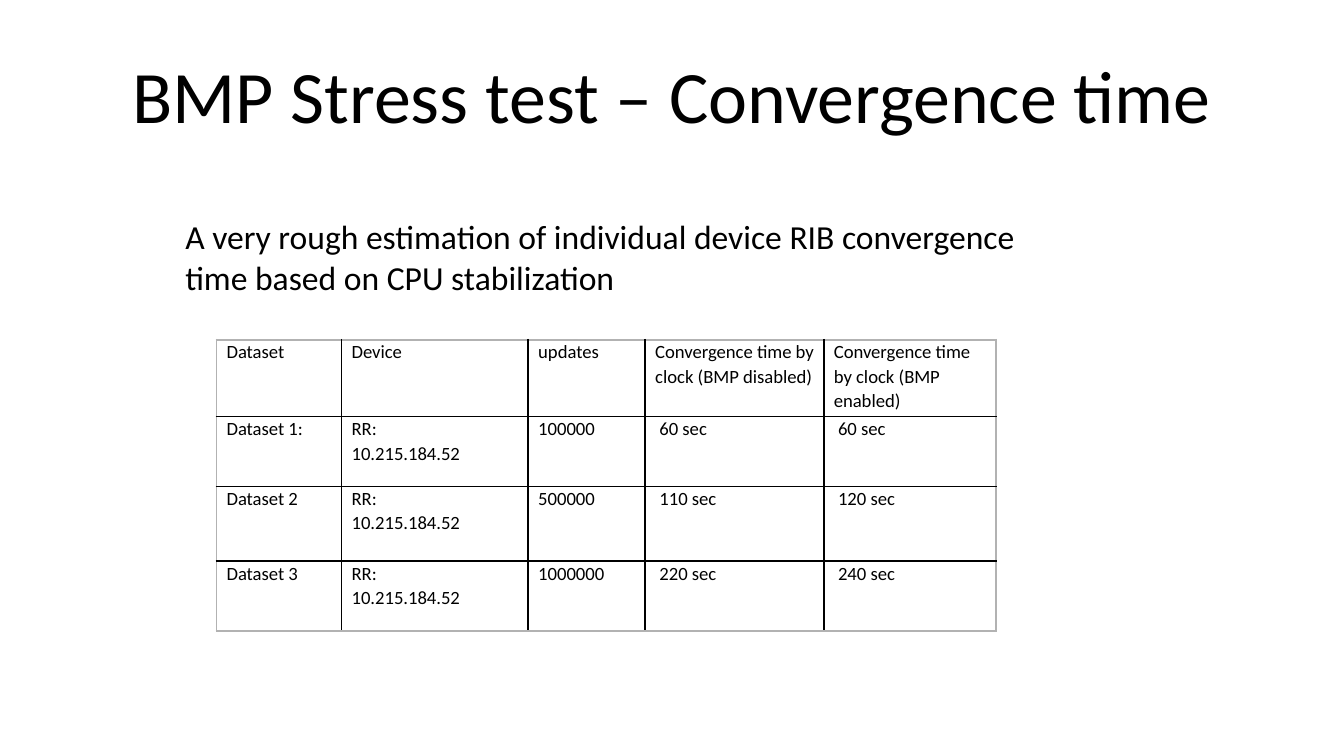
from dataclasses import dataclass

from lxml.etree import SubElement
from pptx import Presentation
from pptx.dml.color import RGBColor
from pptx.enum.text import MSO_ANCHOR, MSO_AUTO_SIZE, PP_ALIGN
from pptx.oxml.ns import qn
from pptx.util import Pt

FONT = "Calibri"
INK = "000000"
EDGE = "B2B2B2"
COLUMN_WIDTHS = (67, 100, 62.7, 95.7, 92.2)
ROW_HEIGHTS = (41.2, 37.5, 39.8, 37.5)
DEVICE = "RR:\n10.215.184.52"
HEADINGS = (
    "Dataset",
    "Device",
    "updates",
    "Convergence time by clock (BMP disabled)",
    "Convergence time by clock (BMP enabled)",
)


@dataclass(frozen=True)
class Measurement:
    dataset: str
    updates: str
    disabled: str
    enabled: str

    def texts(self) -> tuple[str, ...]:
        return self.dataset, DEVICE, self.updates, self.disabled, self.enabled


MEASUREMENTS = (
    Measurement("Dataset 1:", "100000", " 60 sec", " 60 sec"),
    Measurement("Dataset 2", "500000", " 110 sec", " 120 sec"),
    Measurement("Dataset 3", "1000000", " 220 sec", " 240 sec"),
)


def color(value: str) -> RGBColor:
    return RGBColor.from_string(value)


def add_run(paragraph, text: str, size: float) -> None:
    run = paragraph.add_run()
    run.text = text
    run.font.name = FONT
    run.font.size = Pt(size)
    run.font.color.rgb = color(INK)


def add_border(cell, side: str, value: str) -> None:
    line = SubElement(cell._tc.get_or_add_tcPr(), qn(f"a:{side}"), w=str(Pt(1)))
    fill = SubElement(line, qn("a:solidFill"))
    SubElement(fill, qn("a:srgbClr"), val=str(color(value)))


def fill_cell(cell, text: str, outer_sides: set[str]) -> None:
    cell.margin_left = cell.margin_right = Pt(5.4)
    cell.margin_top = cell.margin_bottom = Pt(0)
    cell.vertical_anchor = MSO_ANCHOR.TOP
    for side in ("lnL", "lnR", "lnT", "lnB"):
        add_border(cell, side, EDGE if side in outer_sides else INK)
    cell.fill.background()
    frame = cell.text_frame
    for index, line in enumerate(text.split("\n")):
        paragraph = frame.add_paragraph() if index else frame.paragraphs[0]
        paragraph.line_spacing = 1.07
        add_run(paragraph, line, 10)


def add_title(slide) -> None:
    title = slide.shapes.title
    title.left, title.top, title.width, title.height = Pt(36), Pt(16.5), Pt(648), Pt(67.7)
    frame = title.text_frame
    frame.word_wrap = True
    frame.auto_size = MSO_AUTO_SIZE.NONE
    frame.vertical_anchor = MSO_ANCHOR.MIDDLE
    frame.margin_left = frame.margin_right = Pt(3.6)
    frame.margin_top = frame.margin_bottom = Pt(3.6)
    paragraph = frame.paragraphs[0]
    paragraph.alignment = PP_ALIGN.CENTER
    add_run(paragraph, "BMP Stress test – Convergence time", 39.6)


def add_summary(slide) -> None:
    box = slide.shapes.add_textbox(Pt(92.2), Pt(112.3), Pt(484.5), Pt(51))
    frame = box.text_frame
    frame.word_wrap = True
    frame.auto_size = MSO_AUTO_SIZE.SHAPE_TO_FIT_TEXT
    add_run(
        frame.paragraphs[0],
        "A very rough estimation of individual device RIB convergence time based on CPU stabilization",
        18,
    )


def add_results(slide) -> None:
    rows = (HEADINGS, *(measurement.texts() for measurement in MEASUREMENTS))
    last_row, last_column = len(rows) - 1, len(HEADINGS) - 1
    table = slide.shapes.add_table(
        len(rows), len(HEADINGS), Pt(116), Pt(182), Pt(sum(COLUMN_WIDTHS)), Pt(sum(ROW_HEIGHTS))
    ).table
    table.first_row = table.horz_banding = False
    for column, width in zip(table.columns, COLUMN_WIDTHS):
        column.width = Pt(width)
    for row, height in zip(table.rows, ROW_HEIGHTS):
        row.height = Pt(height)
    for row_index, texts in enumerate(rows):
        for column_index, text in enumerate(texts):
            edges = {
                "lnL": column_index == 0,
                "lnR": column_index == last_column,
                "lnT": row_index == 0,
                "lnB": row_index == last_row,
            }
            outer_sides = {side for side, is_outer in edges.items() if is_outer}
            fill_cell(table.cell(row_index, column_index), text, outer_sides)


def main() -> None:
    presentation = Presentation()
    presentation.slide_width, presentation.slide_height = Pt(720), Pt(405)
    slide = presentation.slides.add_slide(presentation.slide_layouts[5])
    add_title(slide)
    add_results(slide)
    add_summary(slide)
    presentation.save("out.pptx")


if __name__ == "__main__":
    main()
